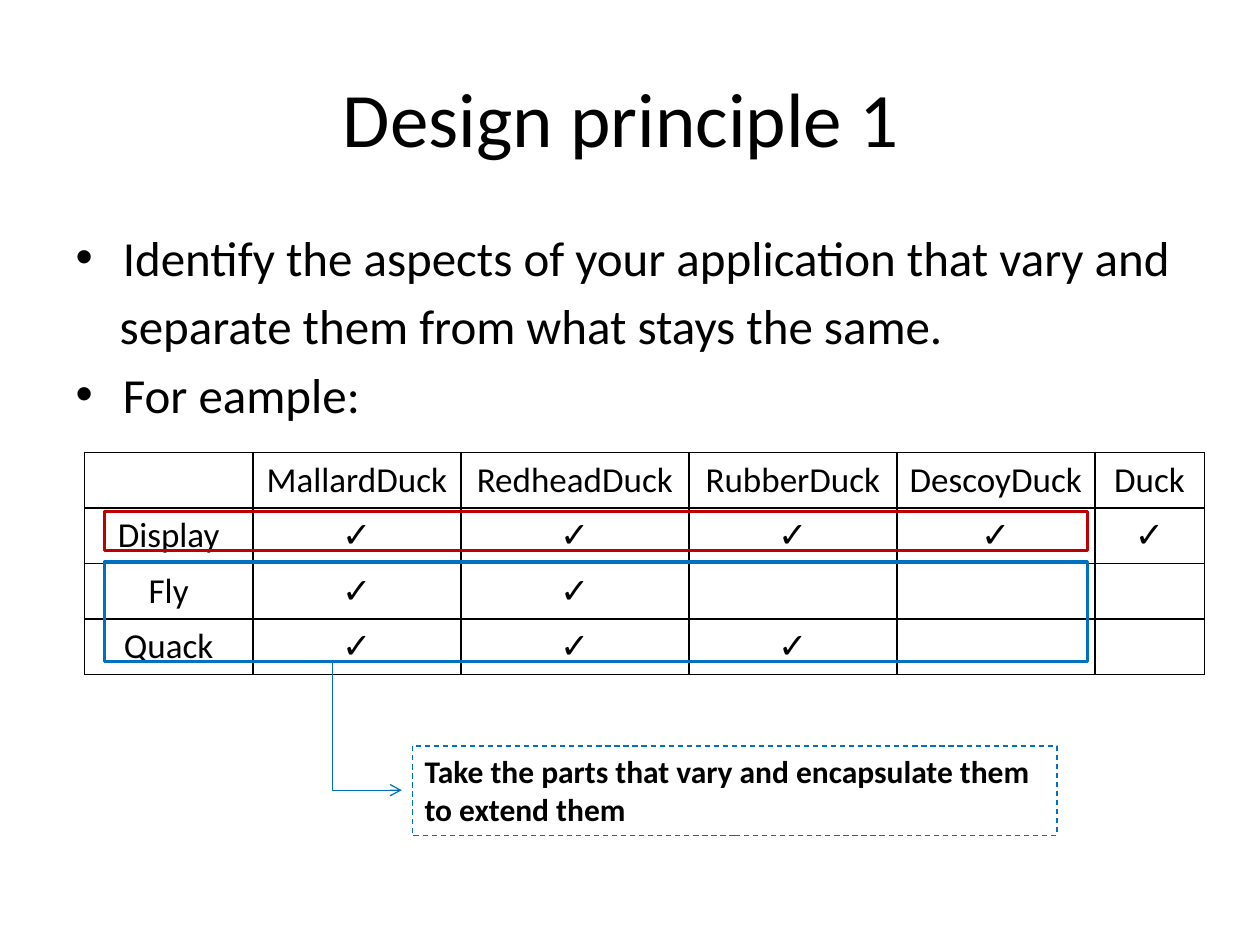
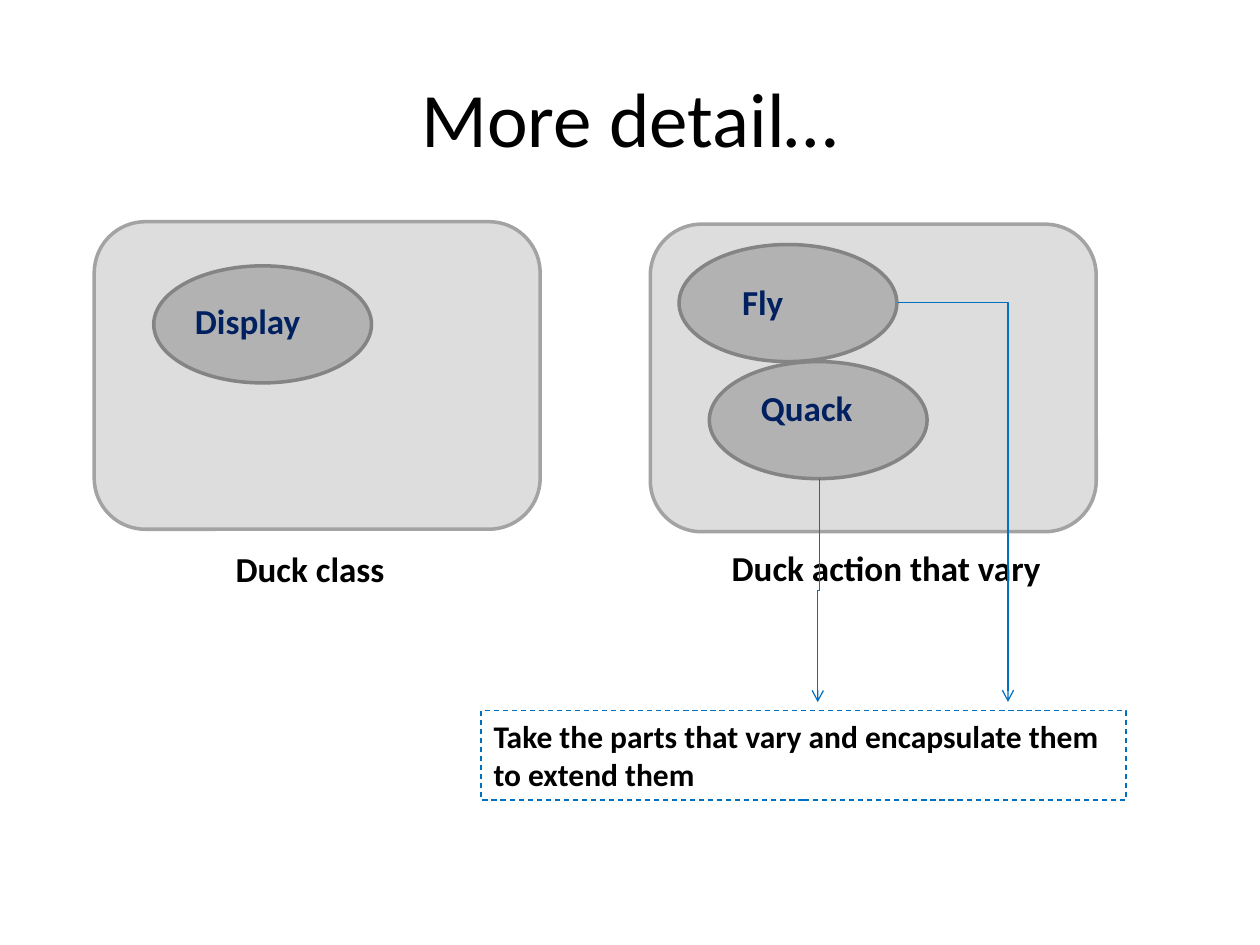
from lxml import etree
from pptx import Presentation
from pptx import util as u
from pptx.dml import color
from pptx.enum import dml, shapes, text
from pptx.oxml import parse_xml
from pptx.oxml.ns import nsdecls, qn

COLORS = {
    "text": "000000", "navy": "002060", "red": "C00000", "blue": "0070C0",
    "panel": "DDDDDD", "panel_line": "A3A3A3",
    "oval": "B2B2B2", "oval_line": "848484",
}
FONT = "Calibri"
TITLE = {"size": u.Pt(44), "name": FONT}
BODY = {"size": u.Pt(28), "name": FONT}
CELL = {"size": u.Pt(20), "name": FONT, "bold": False}
LABEL = {"size": u.Pt(20), "name": FONT, "bold": True}
NOTE = {"size": u.Pt(18), "name": FONT, "bold": True}

PANEL_SIZE = (8.99, 6.2)
OVAL_SIZE = (4.39, 2.36)
NOTE_SIZE = (13, 1.8)
NOTE_TEXT = "Take the parts that vary and encapsulate them to extend them"


def rgb(name):
    return color.RGBColor.from_string(COLORS[name])


def cm(*values):
    return [u.Cm(v) for v in values]


def place(sp, *box):
    for key, value in zip(("left", "top", "width", "height"), cm(*box)):
        setattr(sp, key, value)


def write(p, content, fmt, ink="text", align=text.PP_ALIGN.LEFT):
    p.alignment = align
    r = p.add_run()
    r.text = content
    for key, value in fmt.items():
        setattr(r.font, key, value)
    r.font.color.rgb = rgb(ink)


def add_slide(prs, layout, title):
    s = prs.slides.add_slide(prs.slide_layouts[layout])
    sp = s.shapes.title
    place(sp, 1.27, 0.76, 22.86, 3.18)
    write(sp.text_frame.paragraphs[0], title, TITLE, align=text.PP_ALIGN.CENTER)
    return s


def add_body(s, lines):
    sp = s.placeholders[1]
    place(sp, 1.27, 4.45, 22.86, 12.57)
    tf = sp.text_frame
    for i, (content, bulleted) in enumerate(lines):
        p = tf.add_paragraph() if i else tf.paragraphs[0]
        write(p, content, BODY)
        if not bulleted:
            pPr = p._p.get_or_add_pPr()
            pPr.set("marL", str(u.Cm(0.89)))
            pPr.set("indent", "0")
            etree.SubElement(pPr, qn("a:buNone"))


def add_box(s, kind, box, line, weight=2, fill=None):
    sp = s.shapes.add_shape(kind, *cm(*box))
    sp.shadow.inherit = False
    if fill:
        sp.fill.solid()
        sp.fill.fore_color.rgb = rgb(fill)
    else:
        sp.fill.background()
    sp.line.color.rgb = rgb(line)
    sp.line.width = u.Pt(weight)
    return sp


def add_note(s, x, y):
    sp = add_box(s, shapes.MSO_SHAPE.RECTANGLE, (x, y, *NOTE_SIZE), "blue", 0.75)
    sp.line.dash_style = dml.MSO_LINE.DASH
    tf = sp.text_frame
    tf.word_wrap = True
    tf.vertical_anchor = text.MSO_ANCHOR.TOP
    write(tf.paragraphs[0], NOTE_TEXT, NOTE)


def add_label(s, content, x, y, width, ink="text"):
    tf = s.shapes.add_textbox(*cm(x, y, width, 1.12)).text_frame
    tf.word_wrap = True
    write(tf.paragraphs[0], content, LABEL, ink)


def add_panel(s, x, y):
    add_box(s, shapes.MSO_SHAPE.ROUNDED_RECTANGLE, (x, y, *PANEL_SIZE),
            "panel_line", fill="panel")


def add_oval(s, content, x, y, dx, dy):
    add_box(s, shapes.MSO_SHAPE.OVAL, (x, y, *OVAL_SIZE), "oval_line", fill="oval")
    add_label(s, content, x + dx, y + dy, 4.8, "navy")


def add_elbow(s, x, y, width, height, turn=0, flip=False, bend=0.5):
    x1, x2 = (x + width, x) if flip else (x, x + width)
    c = s.shapes.add_connector(shapes.MSO_CONNECTOR.ELBOW,
                               *cm(x1, y, x2, y + height))
    c.line.color.rgb = rgb("blue")
    c.line.width = u.Pt(0.75)
    spPr = c._element.spPr
    spPr.find(qn("a:xfrm")).set("rot", str(turn * 60000))
    guides = spPr.find(qn("a:prstGeom")).get_or_add_avLst()
    etree.SubElement(guides, qn("a:gd"), name="adj1",
                     fmla=f"val {int(bend * 100000)}")
    etree.SubElement(c.line._get_or_add_ln(), qn("a:tailEnd"), type="arrow")
    etree.SubElement(spPr, qn("a:effectLst"))


def add_borders(cell):
    tcPr = cell._tc.get_or_add_tcPr()
    for side in ("lnL", "lnR", "lnT", "lnB"):
        tcPr.append(parse_xml(
            f'<a:{side} {nsdecls("a")} w="{u.Pt(1)}"><a:solidFill>'
            f'<a:srgbClr val="{COLORS["text"]}"/></a:solidFill></a:{side}>'))


def add_grid(s, x, y, widths, row_height, rows):
    tbl = s.shapes.add_table(len(rows), len(widths), *cm(
        x, y, sum(widths), row_height * len(rows))).table
    tbl.first_row = tbl.horz_banding = False
    for col, width in zip(tbl.columns, widths):
        col.width = u.Cm(width)
    for row, values in zip(tbl.rows, rows):
        row.height = u.Cm(row_height)
        for cell, value in zip(row.cells, values):
            cell.margin_left = cell.margin_right = u.Cm(0.2)
            add_borders(cell)
            cell.fill.background()
            if value:
                write(cell.text_frame.paragraphs[0], value, CELL,
                      align=text.PP_ALIGN.CENTER)


def principle_slide(prs):
    s = add_slide(prs, 1, "Design principle 1 ")
    add_body(s, [
        ("Identify the aspects of your application that vary and", True),
        ("separate them from what stays the same.", False),
        ("For eample:", True),
    ])
    ducks = ["MallardDuck", "RedheadDuck", "RubberDuck", "DescoyDuck", "Duck"]
    behaviours = {
        "Display": ducks,
        "Fly": ducks[:2],
        "Quack": ducks[:3],
    }
    rows = [["", *ducks]]
    for name, owners in behaviours.items():
        rows.append([name, *("✓" if d in owners else "" for d in ducks)])
    add_grid(s, 1.7, 9.12, [3.4, 4.19, 4.6, 4.19, 3.99, 2.21], 1.12, rows)
    for y, height, line in ((10.31, 0.79, "red"), (11.33, 2.01, "blue")):
        add_box(s, shapes.MSO_SHAPE.RECTANGLE, (2.11, y, 19.81, height), line)
    add_elbow(s, 5.31, 13.34, 2.79, 2.59)
    add_note(s, 8.31, 15.04)


def detail_slide(prs):
    s = add_slide(prs, 5, "More detail…")
    add_panel(s, 13.11, 4.52)
    add_panel(s, 1.9, 4.47)
    add_oval(s, "Fly", 13.69, 4.93, 1.02, 0.61)
    add_oval(s, "Quack", 14.3, 7.29, 0.79, 0.38)
    add_oval(s, "Display", 3.1, 5.36, 0.58, 0.56)
    add_label(s, "Duck class", 4.5, 10.92, 5.97)
    add_label(s, "Duck action that vary", 14.5, 10.9, 8.2)
    add_elbow(s, 15.19, 9.02, 8.05, 2.21, turn=270, flip=True, bend=0)
    add_elbow(s, 14.25, 11.89, 4.5, 0.03, turn=90)
    add_note(s, 9.7, 14.33)


def main():
    prs = Presentation()
    prs.slide_width, prs.slide_height = cm(25.4, 19.05)
    principle_slide(prs)
    detail_slide(prs)
    prs.save("out.pptx")


if __name__ == "__main__":
    main()
